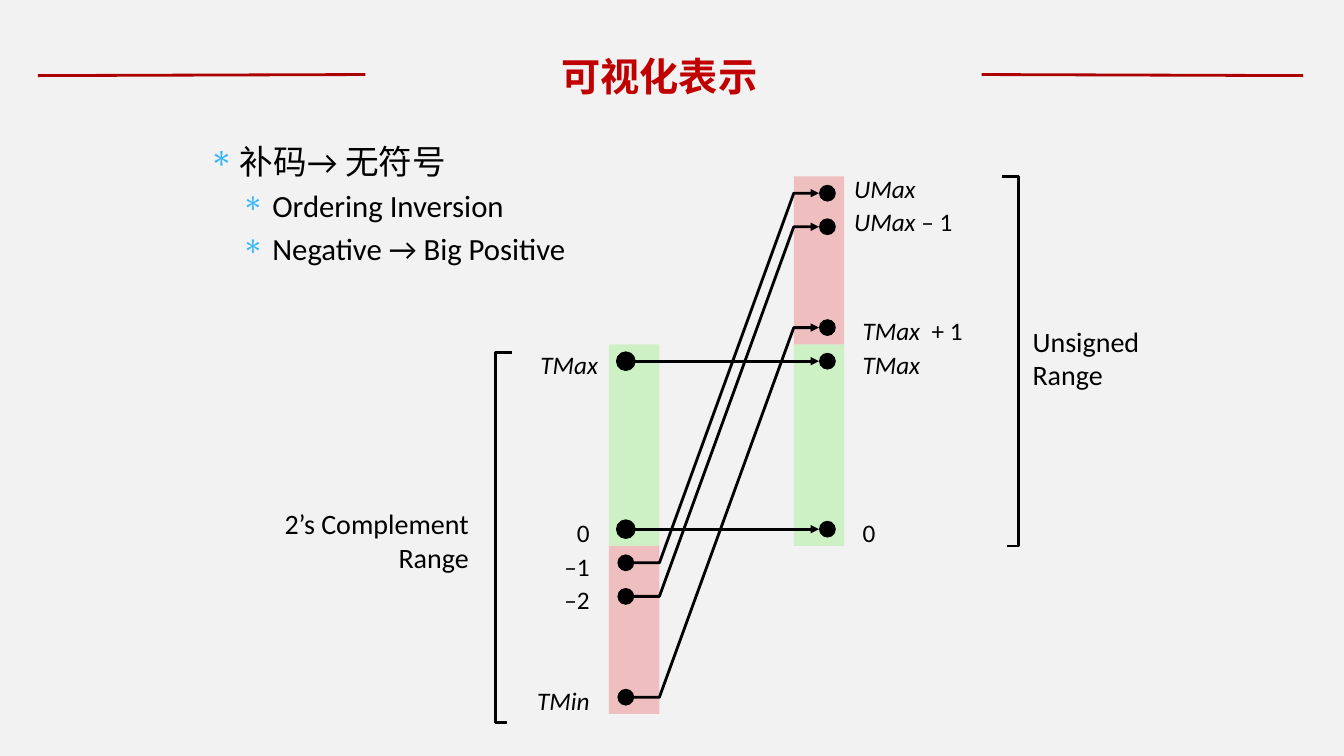
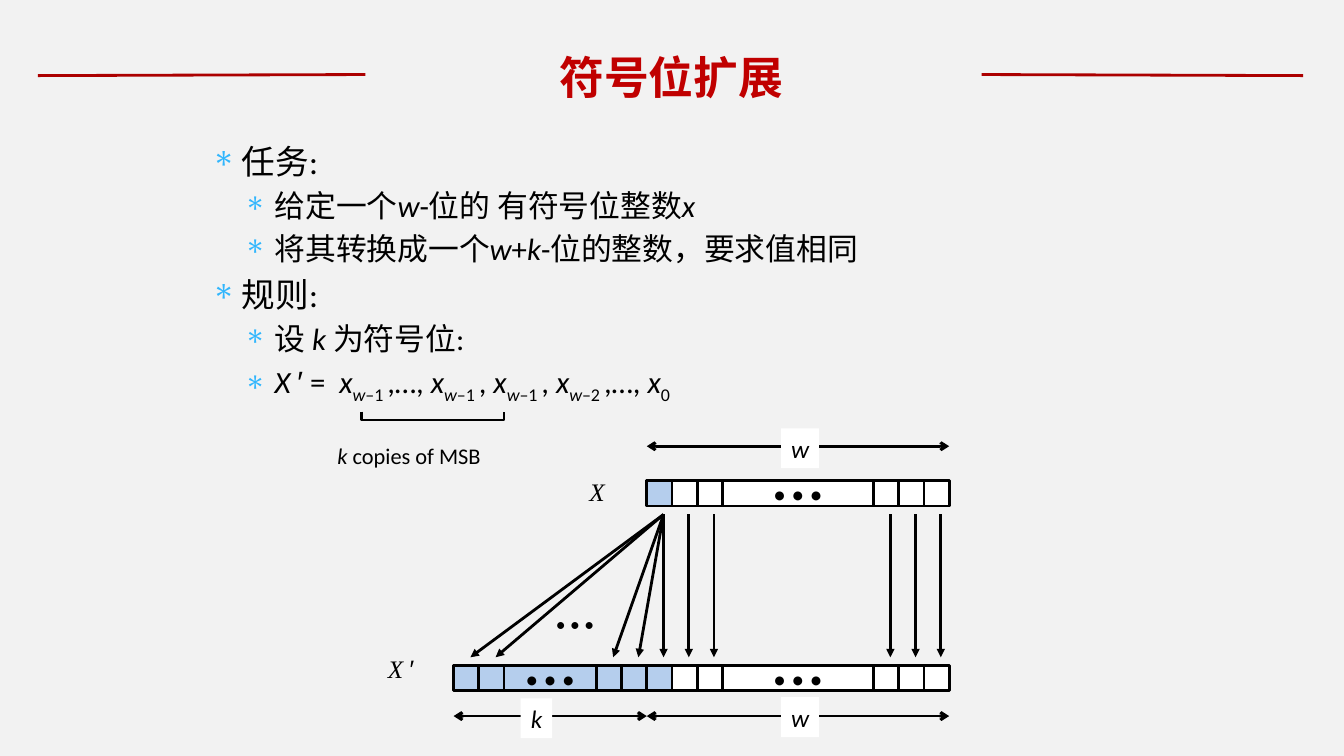
from dataclasses import dataclass

from lxml import etree
from pptx import Presentation
from pptx.dml.color import RGBColor
from pptx.enum.shapes import MSO_CONNECTOR, MSO_SHAPE
from pptx.enum.text import MSO_ANCHOR, PP_ALIGN
from pptx.oxml.ns import qn
from pptx.util import Pt

PX = 9525
RECTANGLE, OVAL = MSO_SHAPE.RECTANGLE, MSO_SHAPE.OVAL
STRAIGHT = MSO_CONNECTOR.STRAIGHT
LEFT, CENTER, RIGHT = PP_ALIGN.LEFT, PP_ALIGN.CENTER, PP_ALIGN.RIGHT
MIDDLE = MSO_ANCHOR.MIDDLE


@dataclass(frozen=True)
class Theme:
    background: str = "F2F2F2"
    title: str = "C00000"
    rule: str = "AC0000"
    bullet: str = "31B6FD"
    ink: str = "000000"
    green: str = "CDF1C5"
    red: str = "EFBFBF"
    blue: str = "B5CEED"
    white: str = "FFFFFF"
    title_font: str = "Noto Sans CJK SC"
    text_font: str = "Calibri"
    symbol_font: str = "Times New Roman"
    prime_font: str = "Arial"
    level_sizes: tuple = (24, 22)
    level_margins: tuple = (29, 60)
    hanging: int = 29
    range_size: int = 20
    label_size: int = 18
    note_size: int = 16
    dots_size: int = 14
    stroke: int = 2


THEME = Theme()


def style(shape, fill=None, line=None, head=None, tail=None):
    if fill:
        shape.fill.solid()
        shape.fill.fore_color.rgb = RGBColor.from_string(fill)
    elif hasattr(shape, "fill"):
        shape.fill.background()
    if line:
        shape.line.color.rgb = RGBColor.from_string(line)
        shape.line.width = Pt(THEME.stroke)
        for tag, kind in (("a:headEnd", head), ("a:tailEnd", tail)):
            if kind:
                etree.SubElement(shape.line._ln, qn(tag)).set("type", kind)
    else:
        shape.line.fill.background()
    etree.SubElement(shape._element.spPr, qn("a:effectLst"))


def write(frame, paragraphs, size=THEME.label_size, align=LEFT, font=THEME.text_font,
          color=THEME.ink, bold=False, wrap=True):
    frame.word_wrap = wrap
    for index, pieces in enumerate(paragraphs):
        paragraph = frame.add_paragraph() if index else frame.paragraphs[0]
        paragraph.alignment = align
        for text, look in pieces:
            run = paragraph.add_run()
            run.text = text
            run.font.size = Pt(size)
            run.font.bold = bold
            run.font.italic = "italic" in look
            run.font.color.rgb = RGBColor.from_string(color)
            run.font.name = THEME.prime_font if look == "prime" else font
            properties = run.font._element
            etree.SubElement(properties, qn("a:ea")).set("typeface", run.font.name)
            if "sub" in look:
                properties.set("baseline", "-25000")


presentation = Presentation()
presentation.slide_width = 1280 * PX
presentation.slide_height = 720 * PX

sign_bit = [("x", "italic"), ("w", "italic sub"), ("–1 ", "sub")]
second_bit = [("x", "italic"), ("w", "italic sub"), ("–2 ", "sub")]
last_bit = [("x", "italic"), ("0", "sub")]
extended_bits = [
    ("X ", "italic"), ("′", "prime"), (" =  ", ""), *sign_bit, (",…, ", ""), *sign_bit,
    (", ", ""), *sign_bit, (", ", ""), *second_bit, (",…, ", ""), *last_bit,
]

pages = [
    ("可视化表示", 28, (211, 42, 834, 60), (190, 129, 437, 180), [
        (0, [("补码→ 无符号", "")]),
        (1, [("Ordering Inversion", "")]),
        (1, [("Negative → Big Positive", "")]),
    ]),
    ("符号位扩展", 32, (319, 43, 641, 59), (192, 129, 871, 548), [
        (0, [("任务:", "")]),
        (1, [("给定一个", ""), ("w", "italic"), ("-位的 有符号位整数", ""), ("x", "italic")]),
        (1, [("将其转换成一个", ""), ("w", "italic"), ("+", ""), ("k", "italic"),
             ("-位的整数，要求值相同", "")]),
        (0, [("规则:", "")]),
        (1, [("设 ", ""), ("k ", "italic"), ("为符号位:", "")]),
        (1, extended_bits),
    ]),
]

for title, title_size, title_box, body_box, outline in pages:
    slide = presentation.slides.add_slide(presentation.slide_layouts[6])
    slide.background.fill.solid()
    slide.background.fill.fore_color.rgb = RGBColor.from_string(THEME.background)
    for ends in ((36, 72, 348, 71), (935, 71, 1241, 72)):
        rule = slide.shapes.add_connector(STRAIGHT, *[end * PX for end in ends])
        style(rule, line=THEME.rule)

    heading = slide.shapes.add_textbox(*[side * PX for side in title_box])
    heading.text_frame.vertical_anchor = MIDDLE
    write(heading.text_frame, [[(title, "")]], title_size, CENTER, THEME.title_font,
          THEME.title, bold=True)

    body = slide.shapes.add_textbox(*[side * PX for side in body_box])
    write(body.text_frame, [pieces for level, pieces in outline])
    for paragraph, (level, pieces) in zip(body.text_frame.paragraphs, outline):
        size = THEME.level_sizes[level]
        paragraph.level = level
        paragraph.space_before = Pt(size * 0.2)
        for run in paragraph.runs:
            run.font.size = Pt(size)
        properties = paragraph._p.get_or_add_pPr()
        properties.set("marL", str(THEME.level_margins[level] * PX))
        properties.set("indent", str(-THEME.hanging * PX))
        bullet_color = etree.SubElement(properties, qn("a:buClr"))
        etree.SubElement(bullet_color, qn("a:srgbClr")).set("val", THEME.bullet)
        etree.SubElement(properties, qn("a:buChar")).set("char", "∗")

mapping, extension = presentation.slides

for left, top, height, color in (
    (756, 328, 192, THEME.green), (580, 328, 192, THEME.green),
    (580, 520, 160, THEME.red), (756, 168, 160, THEME.red),
):
    band = mapping.shapes.add_shape(RECTANGLE, left * PX, top * PX, 48 * PX, height * PX)
    style(band, color)

DOT, SIGNED_X, UNSIGNED_X = 16, 588, 780
straight_rows = (504, 344)
bent_rows = ((536, 184), (568, 216), (664, 312))
dots = [(x, y, THEME.ink if x == SIGNED_X else None)
        for y in straight_rows for x in (SIGNED_X, UNSIGNED_X)]
for start, end in bent_rows:
    dots += [(SIGNED_X, start, None), (UNSIGNED_X, end, None)]
for x, y, line in dots:
    dot = mapping.shapes.add_shape(OVAL, x * PX, (y - DOT // 2) * PX, DOT * PX, DOT * PX)
    style(dot, THEME.ink, line)

arrows = [(mapping, (SIGNED_X + DOT, y, UNSIGNED_X, y), None, "triangle")
          for y in straight_rows]
outlines = [
    (mapping, [(483, 688), (472, 688), (472, 336), (488, 336)], None),
    (mapping, [(959, 520), (970, 520), (970, 168), (954, 168)], None),
    (extension, [(344, 392), (344, 400), (480, 400), (480, 392)], None),
]
for start, end in bent_rows:
    bend = [(SIGNED_X + DOT, start), (628, start), (756, end), (UNSIGNED_X, end)]
    outlines.append((mapping, bend, "triangle"))
for slide, points, tail in outlines:
    builder = slide.shapes.build_freeform(*points[0], scale=PX)
    builder.add_line_segments(points[1:], close=False)
    style(builder.convert_to_shape(), line=THEME.ink, tail=tail)

CELL, SIGN_X, WORD_Y, EXTENDED_Y = 24, 616, 458, 634
ELLIPSIS = "• • •"
word_cells = [(SIGN_X, CELL, THEME.blue)]
word_cells += [(x, CELL, THEME.white) for x in (640, 664, 832, 856, 880)]
word_cells.append((688, 144, THEME.white))
copy_cells = [(x, CELL, THEME.blue) for x in (432, 456, 568, 592)]
copy_cells.append((480, 88, THEME.blue))
for top, cells in ((WORD_Y, word_cells), (EXTENDED_Y, copy_cells + word_cells)):
    for left, width, color in cells:
        cell = extension.shapes.add_shape(RECTANGLE, left * PX, top * PX, width * PX, CELL * PX)
        style(cell, color, THEME.ink)
        if width > CELL:
            write(cell.text_frame, [[(ELLIPSIS, "")]], align=CENTER, wrap=False)

TIP = 16
for left, width, color in copy_cells + word_cells:
    if width == CELL:
        start = max(left, SIGN_X) + TIP
        arrows.append((extension, (start, 490, left + TIP, 626), None, "triangle"))
for start, end, y in ((616, 904, 425), (616, 904, 682), (432, 616, 682)):
    arrows.append((extension, (start, y, end, y), "arrow", "arrow"))
for slide, ends, head, tail in arrows:
    arrow = slide.shapes.add_connector(STRAIGHT, *[end * PX for end in ends])
    style(arrow, line=THEME.ink, head=head, tail=tail)

for name, left, top, width in (("w", 744, 408, 36), ("w", 744, 664, 36), ("k", 496, 665, 30)):
    tag = extension.shapes.add_shape(RECTANGLE, left * PX, top * PX, width * PX, 38 * PX)
    style(tag, THEME.white)
    write(tag.text_frame, [[(name, "italic")]], align=CENTER, wrap=False)

value_labels = [
    (451, 488, RIGHT, [("0", "")]),
    (459, 328, RIGHT, [("TMax", "italic")]),
    (451, 648, RIGHT, [("TMin", "italic")]),
    (451, 520, RIGHT, [("–1", "")]),
    (451, 552, RIGHT, [("–2", "")]),
    (812, 488, LEFT, [("0", "")]),
    (804, 160, LEFT, [("UMax", "italic")]),
    (804, 192, LEFT, [("UMax", "italic"), (" – 1", "")]),
    (812, 328, LEFT, [("TMax", "italic")]),
    (812, 296, LEFT, [("TMax  ", "italic"), ("+ 1", "")]),
]
labels = [(mapping, (left, top, 120, 38), [pieces], THEME.label_size, align, THEME.text_font)
          for left, top, align, pieces in value_labels]
labels += [
    (mapping, (232, 478, 224, 74), [[("2’s Complement Range", "")]],
     THEME.range_size, RIGHT, THEME.text_font),
    (mapping, (974, 304, 130, 74), [[("Unsigned", "")], [("Range", "")]],
     THEME.range_size, LEFT, THEME.text_font),
    (extension, (312, 416, 170, 36), [[("k", "italic"), (" copies of MSB", "")]],
     THEME.note_size, LEFT, THEME.text_font),
    (extension, (552, 449, 40, 38), [[("X", "italic")]],
     THEME.label_size, LEFT, THEME.symbol_font),
    (extension, (360, 617, 60, 38), [[("X ", "italic"), ("′", "prime")]],
     THEME.label_size, LEFT, THEME.symbol_font),
    (extension, (520, 578, 70, 33), [[(ELLIPSIS, "")]],
     THEME.dots_size, LEFT, THEME.text_font),
]
for slide, box, paragraphs, size, align, font in labels:
    label = slide.shapes.add_textbox(*[side * PX for side in box])
    write(label.text_frame, paragraphs, size, align, font)

presentation.save("out.pptx")
